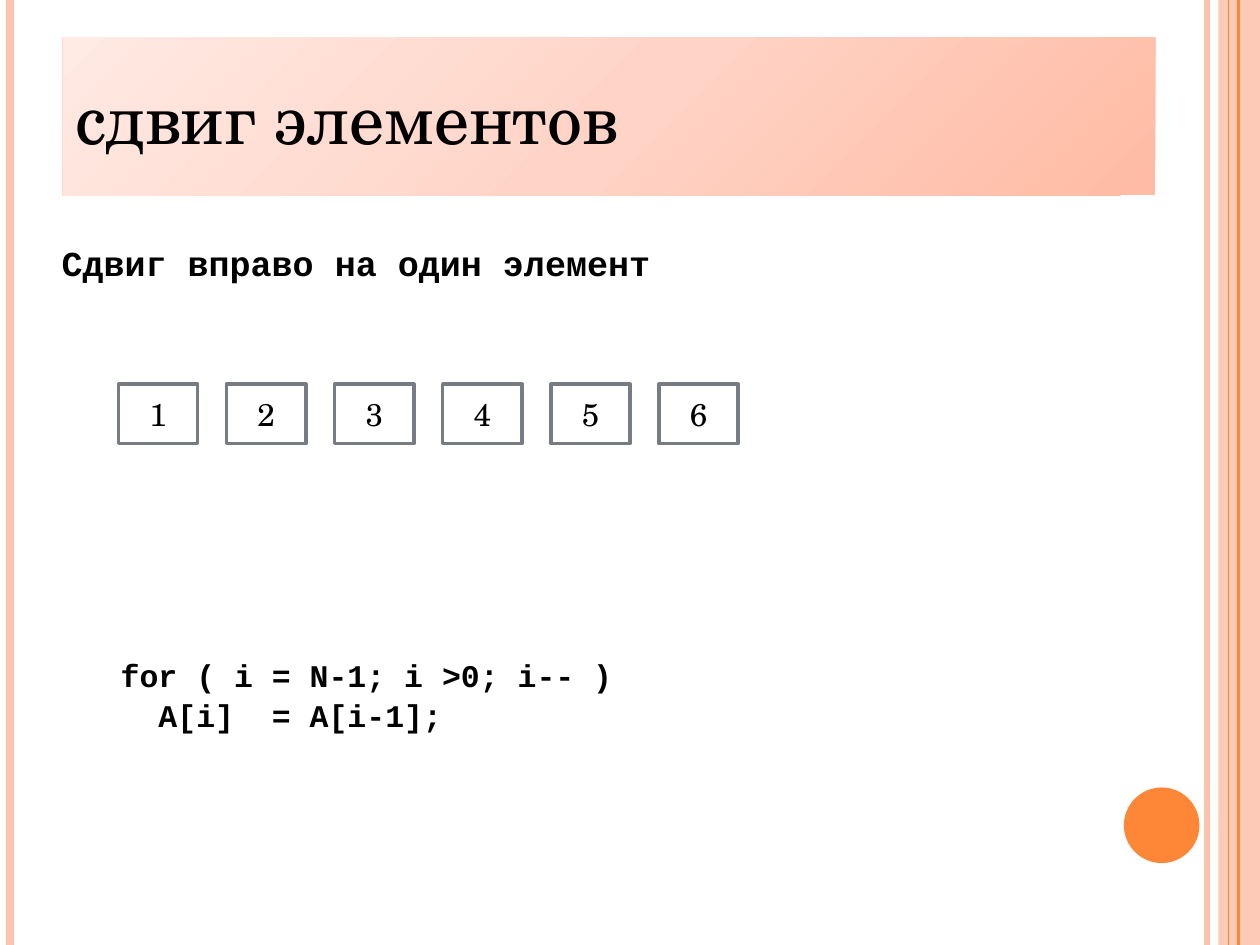
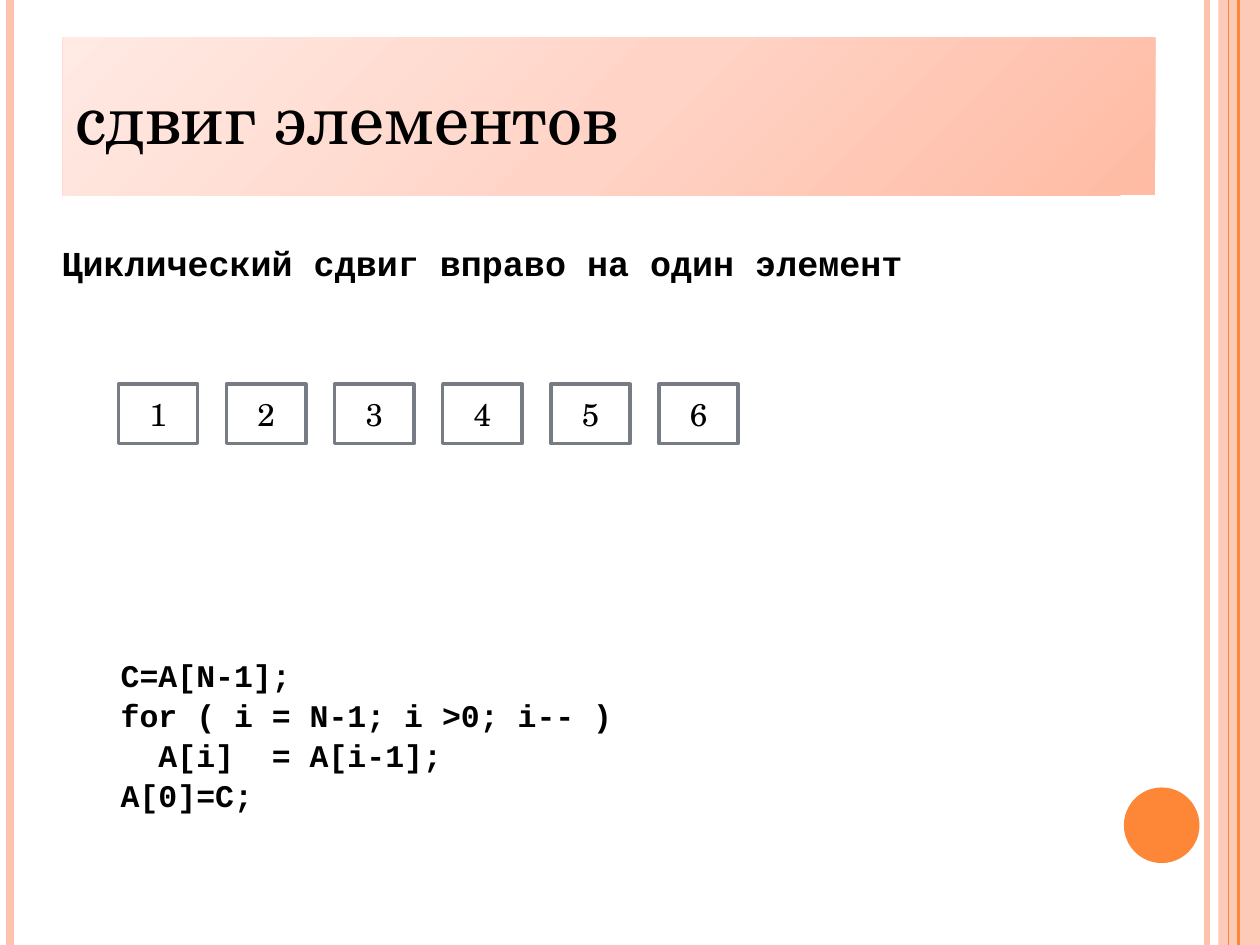
from copy import deepcopy

from pptx import Presentation, util as u
from pptx.dml import color
from pptx.enum import shapes, text
from pptx.oxml import ns, xmlchemy

presentation = Presentation()
presentation.slide_width = u.Inches(10)
presentation.slide_height = u.Inches(7.5)
column = presentation.slide_width / 100
row = presentation.slide_height / 75

PEACH, ORANGE, GREY, WHITE, BLACK = "FEC3AE", "FE8637", "777C84", "FFFFFF", "000000"
SERIF, MONO = "TeX Gyre Schola", "Courier New"
TITLE = "сдвиг элементов"
TITLE_GRADIENT = [(0, "FFBBA3"), (0.5, "FFD4C7"), (1, "FFEAE4")]
EDGE_LINES = [(95.8, PEACH, 3), (0.8, PEACH, 4.5), (98.3, ORANGE, 1.5), (97.5, ORANGE, 0.75)]
SHIFT = ["for ( i = N-1; i >0; i-- )", "  A[i]  = A[i-1];"]
CONTENT = [
    ("Сдвиг вправо на один элемент", SHIFT),
    ("Циклический сдвиг вправо на один элемент", ["C=A[N-1];", *SHIFT, "A[0]=C;"]),
]


def rgb(value):
    return color.RGBColor.from_string(value)


def write(shape, lines, size, font, align, bold=False, before=0, hanging=0):
    frame = shape.text_frame
    frame.word_wrap = True
    frame.text = "\n".join(lines)
    for paragraph in frame.paragraphs:
        paragraph.alignment = align
        paragraph.space_before = u.Pt(before)
        if hanging:
            properties = paragraph._p.get_or_add_pPr()
            properties.set("marL", str(int(hanging)))
            properties.set("indent", str(-int(hanging)))
        for run in paragraph.runs:
            run.font.size = u.Pt(size)
            run.font.name = font
            run.font.bold = bold
            run.font.color.rgb = rgb(BLACK)


for heading, code in CONTENT:
    slide = presentation.slides.add_slide(presentation.slide_layouts[6])
    slide.background.fill.solid()
    slide.background.fill.fore_color.rgb = rgb(WHITE)

    side_band = slide.shapes.add_shape(
        shapes.MSO_SHAPE.RECTANGLE, int(96.7 * column), 0, int(3.3 * column), int(75 * row))
    side_band.fill.solid()
    side_band.fill.fore_color.rgb = rgb(PEACH)
    band_color = next(side_band.element.spPr.iter(ns.qn("a:srgbClr")))
    alpha = xmlchemy.OxmlElement("a:alpha")
    alpha.set("val", "87000")
    band_color.append(alpha)

    for x, line_color, width in EDGE_LINES:
        edge = slide.shapes.add_connector(
            shapes.MSO_CONNECTOR.STRAIGHT, int(x * column), 0, int(x * column), int(75 * row))
        edge.line.color.rgb = rgb(line_color)
        edge.line.width = u.Pt(width)
        edge._element.spPr.append(xmlchemy.OxmlElement("a:effectLst"))

    circle = slide.shapes.add_shape(
        shapes.MSO_SHAPE.OVAL, int(89.2 * column), int(62.5 * row), int(6 * column), int(6 * row))
    circle.fill.solid()
    circle.fill.fore_color.rgb = rgb(ORANGE)

    title = slide.shapes.add_shape(
        shapes.MSO_SHAPE.RECTANGLE, int(5 * column), int(3 * row), int(86.7 * column), int(12.5 * row))
    title.fill.gradient()
    title.fill.gradient_angle = 135
    first_stop = next(title.element.spPr.iter(ns.qn("a:gs")))
    first_stop.addnext(deepcopy(first_stop))
    for stop, (position, stop_color) in zip(title.fill.gradient_stops, TITLE_GRADIENT):
        stop.position = position
        stop.color.rgb = rgb(stop_color)
    title.text_frame.vertical_anchor = text.MSO_ANCHOR.MIDDLE
    write(title, [TITLE], 40, SERIF, text.PP_ALIGN.LEFT)

    for shape in (side_band, circle, title):
        shape.line.fill.background()
        shape.shadow.inherit = False

    heading_box = slide.shapes.add_textbox(
        int(3.9 * column), int(18.7 * row), int(86.7 * column), int(7.7 * row))
    write(heading_box, [heading], 20, MONO, text.PP_ALIGN.JUSTIFY, True, 4, 2 * column)

    for index in range(6):
        cell = slide.shapes.add_shape(
            shapes.MSO_SHAPE.RECTANGLE, int((9.4 + 8.58 * index) * column), int(30.5 * row),
            int(6.3 * column), int(4.7 * row))
        cell.fill.solid()
        cell.fill.fore_color.rgb = rgb(WHITE)
        cell.line.color.rgb = rgb(GREY)
        cell.line.width = u.Pt(2)
        cell.shadow.inherit = False
        cell.text_frame.vertical_anchor = text.MSO_ANCHOR.MIDDLE
        write(cell, [str(index + 1)], 18, SERIF, text.PP_ALIGN.CENTER)

    code_box = slide.shapes.add_textbox(
        int(8.6 * column), int(51.6 * row), int(50 * column), int((1.1 + 3 * len(code)) * row))
    write(code_box, code, 18, MONO, text.PP_ALIGN.JUSTIFY, True, 1.2, 2 * column)

presentation.save("out.pptx")
